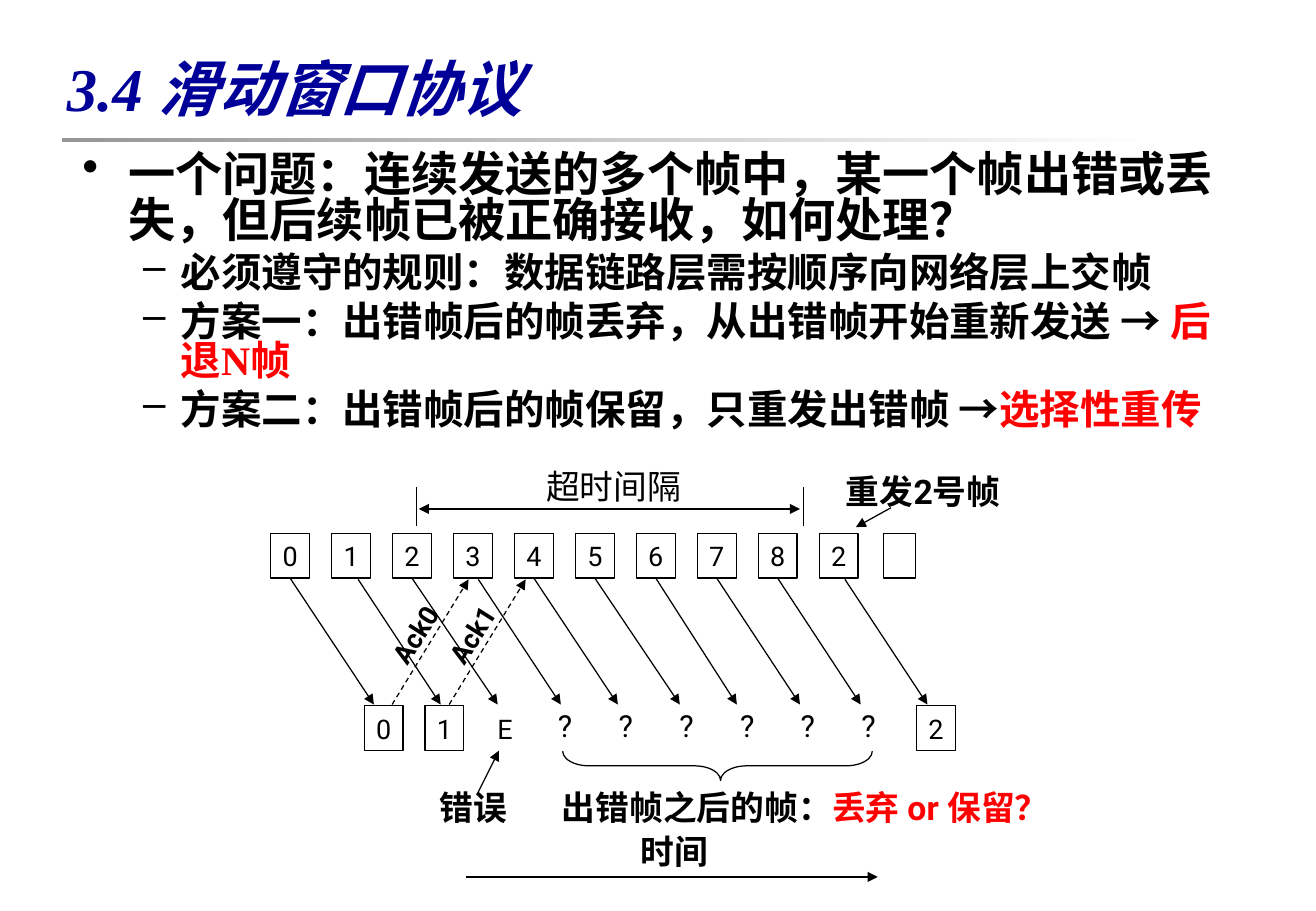
from dataclasses import dataclass

from lxml import etree
from pptx import Presentation
from pptx.dml.color import RGBColor
from pptx.enum.dml import MSO_LINE
from pptx.enum.shapes import MSO_CONNECTOR, MSO_SHAPE
from pptx.enum.text import MSO_ANCHOR, MSO_AUTO_SIZE, PP_ALIGN
from pptx.oxml.ns import qn
from pptx.util import Inches, Pt

STRAIGHT = MSO_CONNECTOR.STRAIGHT
RECTANGLE = MSO_SHAPE.RECTANGLE
LEFT_BRACE = MSO_SHAPE.LEFT_BRACE
DASH = MSO_LINE.DASH
TOP, MIDDLE, BOTTOM = MSO_ANCHOR.TOP, MSO_ANCHOR.MIDDLE, MSO_ANCHOR.BOTTOM
LEFT, CENTER = PP_ALIGN.LEFT, PP_ALIGN.CENTER
NO_AUTOSIZE = MSO_AUTO_SIZE.NONE
BOTTOM_SIDE = 2


@dataclass(frozen=True)
class Theme:
    """Colours, fonts and type sizes of the slide."""
    ink: RGBColor = RGBColor(0x00, 0x00, 0x00)
    navy: RGBColor = RGBColor(0x00, 0x00, 0x99)
    red: RGBColor = RGBColor(0xFF, 0x00, 0x00)
    gray: RGBColor = RGBColor(0x96, 0x96, 0x96)
    white: RGBColor = RGBColor(0xFF, 0xFF, 0xFF)
    serif: str = "Times New Roman"
    sans: str = "Roboto"
    arrow_font: str = "Arial"
    title: int = 36
    question: int = 28
    option: int = 24
    caption: int = 20
    unknown: int = 18
    frame: int = 16
    line: float = 0.75


@dataclass(frozen=True)
class Box:
    """A rectangle in inches."""
    left: float
    top: float
    width: float
    height: float

    def inner(self, left, top, width, height):
        """Return a box placed relative to this one."""
        return Box(self.left + left, self.top + top, width, height)

    def lengths(self):
        """Return left, top, width and height as lengths."""
        return [Inches(value) for value in (self.left, self.top, self.width, self.height)]


THEME = Theme()


def add_run(paragraph, text, size, font=THEME.sans, color=THEME.ink, bold=False, italic=False):
    """Add one formatted run."""
    run = paragraph.add_run()
    run.text = text
    run.font.size = Pt(size)
    run.font.name = font
    run.font.color.rgb = color
    run.font.bold = bold
    run.font.italic = italic


def set_frame(shape, anchor, wrap):
    """Set anchor and wrapping, and return the first paragraph."""
    frame = shape.text_frame
    frame.auto_size = NO_AUTOSIZE
    frame.word_wrap = wrap
    frame.vertical_anchor = anchor
    return frame.paragraphs[0]


def add_label(slide, box, text, size, bold=False, wrap=False):
    """Add a text box with one run on its bottom edge."""
    shape = slide.shapes.add_textbox(*box.lengths())
    paragraph = set_frame(shape, BOTTOM, wrap)
    paragraph.alignment = LEFT if wrap else CENTER
    add_run(paragraph, text, size, bold=bold)
    return shape


def add_outline(slide, kind, box):
    """Add an unfilled shape with a thin black outline."""
    shape = slide.shapes.add_shape(kind, *box.lengths())
    shape.shadow.inherit = False
    shape.fill.background()
    shape.line.color.rgb = THEME.ink
    shape.line.width = Pt(THEME.line)
    return shape


def add_frame(slide, box, text):
    """Add a numbered frame."""
    shape = add_outline(slide, RECTANGLE, box)
    paragraph = set_frame(shape, BOTTOM, False)
    paragraph.alignment = CENTER
    add_run(paragraph, text, THEME.frame)
    return shape


def add_line(slide, box, start, end, ends=("tailEnd",), dashed=False):
    """Add a line between two points of a box, with arrowheads at the named ends."""
    points = [Inches(value) for x, y in (start, end) for value in (box.left + x, box.top + y)]
    connector = slide.shapes.add_connector(STRAIGHT, *points)
    connector.line.color.rgb = THEME.ink
    connector.line.width = Pt(THEME.line)
    if dashed:
        connector.line.dash_style = DASH
    properties = connector._element.spPr
    outline = properties.find(qn("a:ln"))
    for name in ends:
        etree.SubElement(outline, qn(f"a:{name}"), type="triangle")
    etree.SubElement(properties, qn("a:effectLst"))
    return connector


def set_bullet(paragraph, character, margin, indent):
    """Give a paragraph a black bullet and a hanging indent."""
    properties = paragraph._p.get_or_add_pPr()
    properties.set("marL", str(Inches(margin)))
    properties.set("indent", str(Inches(indent)))
    color = etree.SubElement(properties, qn("a:buClr"))
    etree.SubElement(color, qn("a:srgbClr"), val=str(THEME.ink))
    etree.SubElement(properties, qn("a:buChar"), char=character)


def build_title(slide, box):
    """Place the title and the fading rule below it."""
    title = slide.shapes.title
    title.left, title.top, title.width, title.height = box.lengths()
    paragraph = set_frame(title, MIDDLE, True)
    paragraph.alignment = LEFT
    add_run(paragraph, "3.4 滑动窗口协议", THEME.title, THEME.serif, THEME.navy, True, True)
    rule = slide.shapes.add_shape(RECTANGLE, *box.inner(0.06, 0.86, 9, 0.03).lengths())
    rule.shadow.inherit = False
    rule.line.fill.background()
    rule.fill.gradient()
    rule.fill.gradient_angle = 0
    for stop, color in zip(rule.fill.gradient_stops, (THEME.gray, THEME.white)):
        stop.color.rgb = color


def build_body(slide, box):
    """Place the question and its bulleted options."""
    ink, red, serif, arrow_font = THEME.ink, THEME.red, THEME.serif, THEME.arrow_font
    question = "一个问题：连续发送的多个帧中，某一个帧出错或丢失，但后续帧已被正确接收，如何处理？"
    options = [
        [("必须遵守的规则：数据链路层需按顺序向网络层上交帧", serif, ink)],
        [("方案一：出错帧后的帧丢弃，从出错帧开始重新发送 ", serif, ink),
         ("→ ", arrow_font, ink), ("后退N帧", serif, red)],
        [("方案二：出错帧后的帧保留，只重发出错帧 ", serif, ink),
         ("→", arrow_font, ink), ("选择性重传", serif, red)],
    ]
    shape = slide.shapes.add_textbox(*box.lengths())
    paragraph = set_frame(shape, TOP, True)
    shape.text_frame.margin_right = Inches(0.25)
    set_bullet(paragraph, "•", 0.38, -0.38)
    paragraph.line_spacing = 0.8
    add_run(paragraph, question, THEME.question, serif, bold=True)
    for runs in options:
        paragraph = shape.text_frame.add_paragraph()
        paragraph.level = 1
        set_bullet(paragraph, "–", 0.81, -0.31)
        paragraph.line_spacing = 0.8
        paragraph.space_before = Pt(6)
        for text, font, color in runs:
            add_run(paragraph, text, THEME.option, font, color, True)


def build_timeout(slide, box):
    """Place the timeout interval and the resend remark above the frames."""
    for x in (0, box.width):
        add_line(slide, box, (x, 0.52), (x, 0.84), ends=())
    add_line(slide, box, (0.02, 0.7), (box.width - 0.03, 0.7), ends=("headEnd", "tailEnd"))
    add_label(slide, box.inner(0.97, 0.29, 1.31, 0.44), "超时间隔", THEME.caption)
    add_label(slide, box.inner(3.44, 0, 1.57, 0.77), "重发2号帧", THEME.caption, True, True)
    add_line(slide, box, (3.91, 0.69), (3.62, 0.85))


def build_frames(slide, box):
    """Place sent and received frames with the arrows between them."""
    pitch, width, height = 0.5, 0.32, 0.37
    received = box.height - height
    starts = (0.17, 0.72, 1.19, 1.71, 2.18, 2.69, 3.16, 3.68, 4.18, 4.73)
    for index, (number, start) in enumerate(zip("0123456782", starts)):
        left = index * (pitch + 0.002)
        frame = add_frame(slide, box.inner(left, 0, width, height), number)
        arrow = add_line(slide, box, (start, 0.38), (start + 0.68, 1.41))
        if abs(start - left - width / 2) < 0.03:
            arrow.begin_connect(frame, BOTTOM_SIDE)
    add_outline(slide, RECTANGLE, box.inner(5.05, 0, 0.26, height))
    for number, left in (("0", 0.77), ("1", 1.27), ("2", 5.32)):
        add_frame(slide, box.inner(left, received, width, height), number)
    add_label(slide, box.inner(1.77, received, width, height), "E", THEME.frame)
    for index in range(6):
        add_label(slide, box.inner(2.27 + index * pitch, 1.38, 0.31, 0.4), "?", THEME.unknown)
    for index in range(2):
        shift = index * 0.47
        add_line(slide, box, (1 + shift, 1.41), (1.63 + shift, 0.38), dashed=True)
        label = add_label(slide, box.inner(0.82 + shift, 0.65, 0.73, height),
                          f"Ack{index}", THEME.frame, True)
        label.rotation = 302.4


def build_remarks(slide, box):
    """Place the brace, the remarks and the time axis below the frames."""
    brace = add_outline(slide, LEFT_BRACE, box.inner(2.27, -1.15, 0.24, 2.55))
    brace.rotation = 270
    brace.adjustments[0], brace.adjustments[1] = 0.9, 0.51
    add_line(slide, box, (0.41, 0.36), (0.59, 0))
    shape = slide.shapes.add_textbox(*box.inner(0, 0.25, box.width, 0.44).lengths())
    paragraph = set_frame(shape, TOP, True)
    tabs = etree.SubElement(paragraph._p.get_or_add_pPr(), qn("a:tabLst"))
    etree.SubElement(tabs, qn("a:tab"), pos=str(Inches(1.01)), algn="l")
    add_run(paragraph, "错误\t出错帧之后的帧：", THEME.caption, bold=True)
    add_run(paragraph, "丢弃 or 保留？", THEME.caption, color=THEME.red, bold=True)
    add_label(slide, box.inner(1.66, 0.6, 0.87, 0.44), "时间", THEME.caption, True, True)
    add_line(slide, box, (0.32, 1.04), (3.71, 1.04))


def main():
    """Build the slide and save it."""
    presentation = Presentation()
    presentation.slide_width, presentation.slide_height = Inches(10.84), Inches(7.5)
    slide = presentation.slides.add_slide(presentation.slide_layouts[5])
    build_title(slide, Box(0.45, 0.28, 9.84, 0.87))
    build_body(slide, Box(0.58, 1.23, 9.87, 2.44))
    build_timeout(slide, Box(3.43, 3.49, 3.19, 0.84))
    build_frames(slide, Box(2.23, 4.39, 5.64, 1.79))
    build_remarks(slide, Box(3.52, 6.18, 5.59, 1.04))
    presentation.save("out.pptx")


if __name__ == "__main__":
    main()
